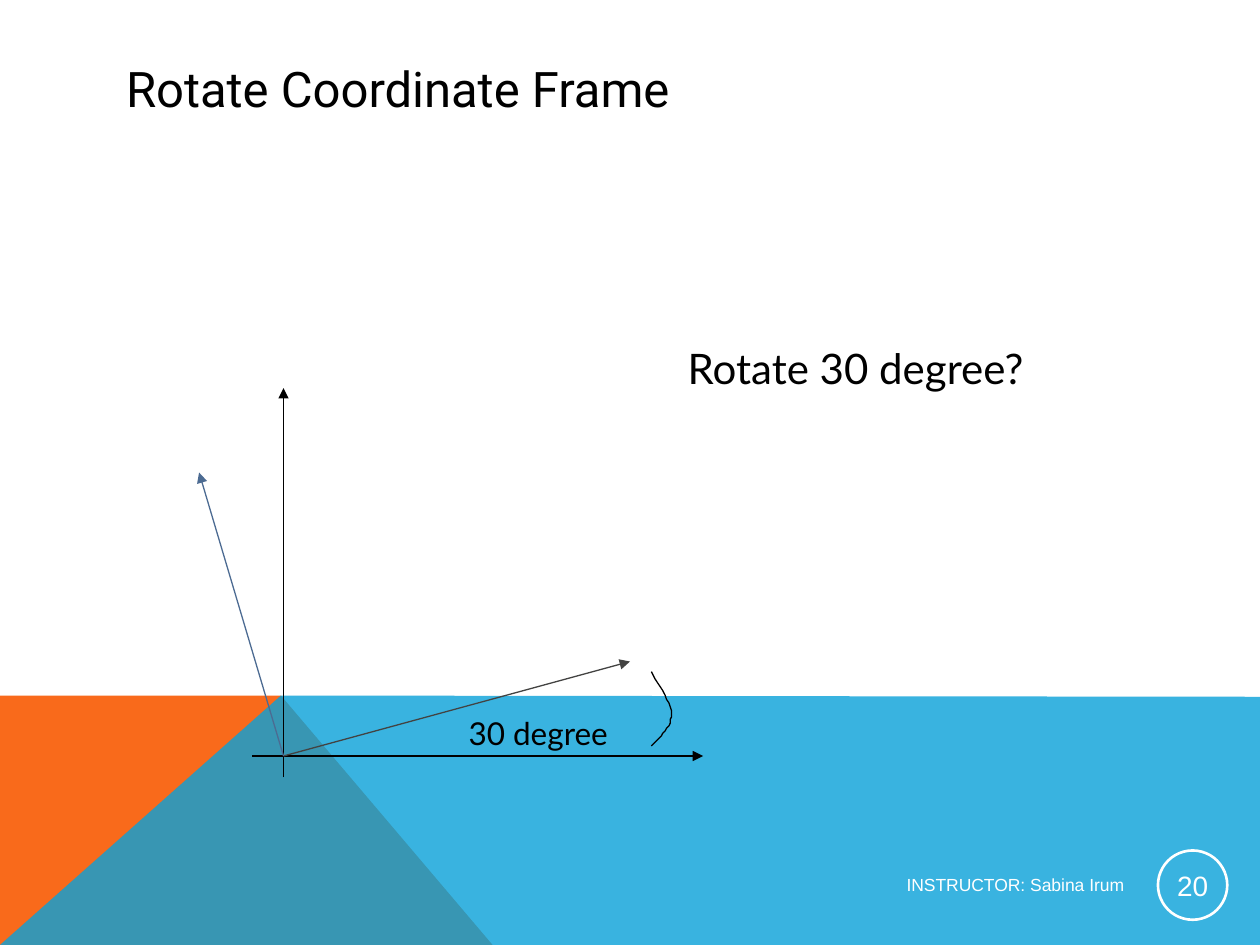
from lxml import etree
from pptx import Presentation
from pptx.dml.color import RGBColor
from pptx.enum.shapes import MSO_CONNECTOR, MSO_SHAPE
from pptx.enum.text import MSO_ANCHOR, PP_ALIGN
from pptx.oxml.ns import qn
from pptx.util import Pt

PX = 9144  # 100 px to the inch
STRAIGHT = MSO_CONNECTOR.STRAIGHT
OVAL = MSO_SHAPE.OVAL
TOP, MIDDLE = MSO_ANCHOR.TOP, MSO_ANCHOR.MIDDLE
LEFT, CENTER, RIGHT = PP_ALIGN.LEFT, PP_ALIGN.CENTER, PP_ALIGN.RIGHT

BLACK = RGBColor(0x00, 0x00, 0x00)
WHITE = RGBColor(0xFF, 0xFF, 0xFF)
ORANGE = RGBColor(0xF9, 0x6A, 0x1B)
BLUE = RGBColor(0x08, 0xA1, 0xD9)
GREY = RGBColor(0x43, 0x43, 0x42)
SLATE = RGBColor(0x4C, 0x6B, 0x92)


def write(shape, text, size, font, color=BLACK, align=LEFT, anchor=TOP,
          inset=(10, 5), wrap=True):
    frame = shape.text_frame
    frame.word_wrap = wrap
    frame.vertical_anchor = anchor
    frame.margin_left = frame.margin_right = inset[0] * PX
    frame.margin_top = frame.margin_bottom = inset[1] * PX
    paragraph = frame.paragraphs[0]
    paragraph.alignment = align
    run = paragraph.add_run()
    run.text = text
    run.font.size = Pt(size)
    run.font.name = font
    run.font.color.rgb = color


def outline(points, closed):
    builder = shapes.build_freeform(*points[0], scale=PX)
    builder.add_line_segments(points[1:], close=closed)
    shape = builder.convert_to_shape()
    shape.shadow.inherit = False
    return shape


prs = Presentation()
prs.slide_width, prs.slide_height = 1000 * PX, 750 * PX
slide = prs.slides.add_slide(prs.slide_layouts[5])
shapes = slide.shapes

# Coloured footer bands
bands = [
    (ORANGE, [(0, 750), (0, 552), (223, 552), (391, 750)]),
    (BLUE, [(0, 750), (223, 552), (1000, 553), (1000, 750)]),
]
for color, corners in bands:
    band = outline(corners, True)
    band.fill.solid()
    band.fill.fore_color.rgb = color
    band.line.fill.background()
blue_color = band.fill._xPr.find(qn("a:solidFill"))[0]
etree.SubElement(blue_color, qn("a:alpha"), val="80000")

# Title
title = shapes.title
title.left, title.top, title.width, title.height = 90 * PX, 40 * PX, 823 * PX, 60 * PX
write(title, "Rotate Coordinate Frame", 28, "Roboto", anchor=MIDDLE)

# Footer and page number
instructor = shapes.add_textbox(385 * PX, 687 * PX, 517 * PX, 30 * PX)
write(instructor, "INSTRUCTOR: Sabina Irum", 10, "Arial", WHITE, RIGHT, MIDDLE)
page_number = shapes.add_shape(OVAL, 919 * PX, 675 * PX, 55 * PX, 55 * PX)
page_number.shadow.inherit = False
page_number.fill.background()
page_number.line.color.rgb = WHITE
page_number.line.width = Pt(1.5)
write(page_number, "20", 16, "Arial", WHITE, CENTER, MIDDLE, inset=(1, 1))

# Fixed axes, then the rotated ones
axes = [
    ((200, 600), (558, 600), BLACK),
    ((225, 617), (225, 308), BLACK),
    ((225, 600), (500, 525), GREY),
    ((225, 600), (158, 375), SLATE),
]
for (x1, y1), (x2, y2), color in axes:
    axis = shapes.add_connector(STRAIGHT, x1 * PX, y1 * PX, x2 * PX, y2 * PX)
    axis.line.color.rgb = color
    axis.line.width = Pt(0.75)
    etree.SubElement(axis.line._get_or_add_ln(), qn("a:tailEnd"), type="triangle")
    etree.SubElement(axis._element.spPr, qn("a:effectLst"))

# Question and angle label
question = shapes.add_textbox(536 * PX, 267 * PX, 312 * PX, 50 * PX)
write(question, "Rotate 30 degree?", 24, "Lato", wrap=False)
angle = shapes.add_textbox(362 * PX, 562 * PX, 138 * PX, 40 * PX)
write(angle, "30 degree", 18, "Lato", wrap=False)

# Angle arc: two cubic curves, sampled
curves = [
    [(517, 592), (525, 584), (533, 576), (533, 567)],
    [(533, 567), (533, 557), (519, 539), (517, 533)],
]
STEPS = 12
arc_points = [curves[0][0]]
for curve in curves:
    for step in range(1, STEPS + 1):
        t = step / STEPS
        weights = ((1 - t) ** 3, 3 * t * (1 - t) ** 2, 3 * t ** 2 * (1 - t), t ** 3)
        arc_points.append(tuple(
            sum(w * point[i] for w, point in zip(weights, curve)) for i in (0, 1)))
arc = outline(arc_points, False)
arc.fill.background()
arc.line.color.rgb = BLACK
arc.line.width = Pt(0.75)

prs.save("out.pptx")
